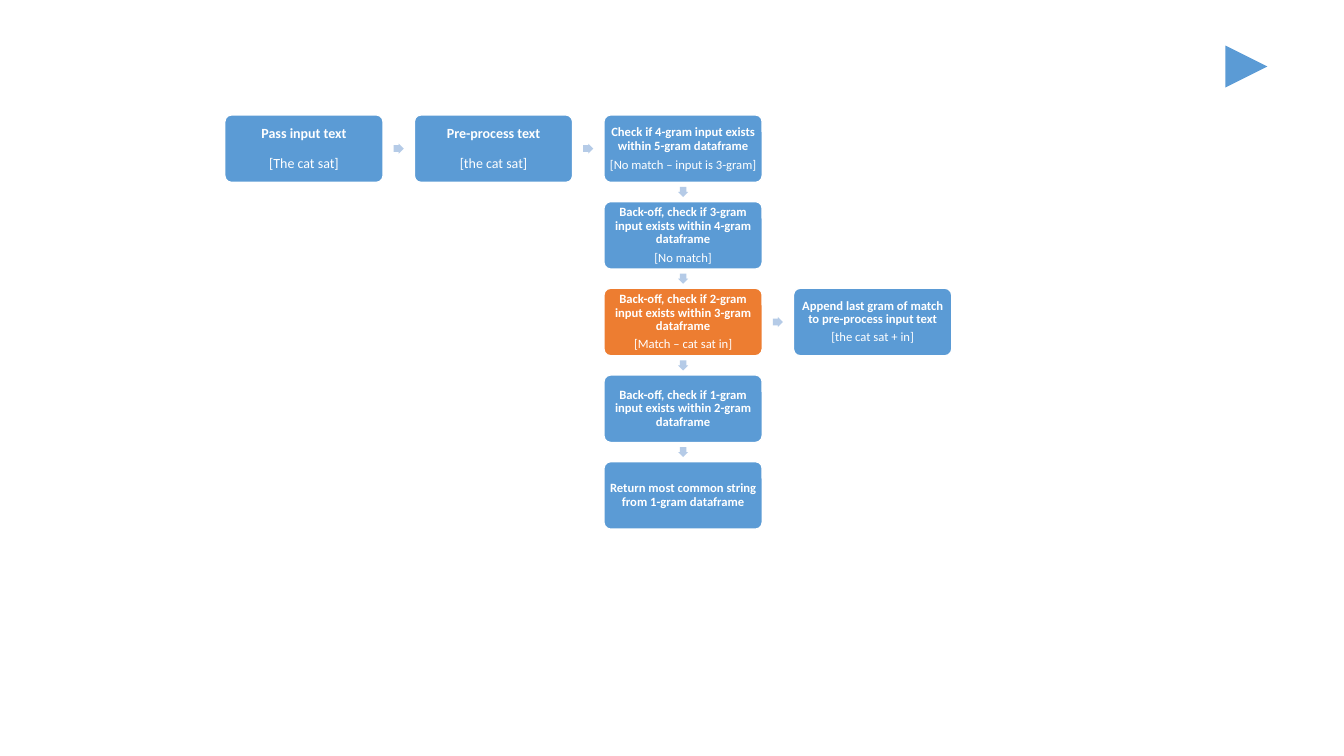
from lxml import etree
from pptx import Presentation
from pptx import util as u
from pptx.dml.color import RGBColor
from pptx.enum import shapes, text
from pptx.oxml import ns

COLORS = {"step": "5B9BD5", "match": "ED7D31", "arrow": "B5CBE7", "white": "FFFFFF"}
STEP_WIDTH, STEP_HEIGHT = 1.57, 0.67
COLUMN_PITCH, ROW_PITCH = 1.88, 0.86
ARROW_SIZE = 0.1

FRAME_FORMAT = {
    "word_wrap": True,
    "auto_size": text.MSO_AUTO_SIZE.NONE,
    "vertical_anchor": text.MSO_ANCHOR.MIDDLE,
    "margin_left": u.Inches(0.03),
    "margin_right": u.Inches(0.03),
    "margin_top": u.Inches(0.03),
    "margin_bottom": u.Inches(0.03),
}
PARAGRAPH_FORMAT = {"alignment": text.PP_ALIGN.CENTER, "line_spacing": 0.9}

STEPS = [
    (0, 0, "step", 10, 10.5, ["Pass input text", "[The cat sat]"]),
    (1, 0, "step", 10, 10.5, ["Pre-process text", "[the cat sat]"]),
    (2, 0, "step", 9, 3.8, ["Check if 4-gram input exists within 5-gram dataframe",
                            "[No match – input is 3-gram]"]),
    (2, 1, "step", 9, 3.2, ["Back-off, check if 3-gram input exists within 4-gram dataframe",
                            "[No match]"]),
    (2, 2, "match", 9, 3.2, ["Back-off, check if 2-gram input exists within 3-gram dataframe",
                             "[Match – cat sat in]"]),
    (2, 3, "step", 9, 3.2, ["Back-off, check if 1-gram input exists within 2-gram dataframe"]),
    (2, 4, "step", 9, 3.2, ["Return most common string from 1-gram dataframe"]),
    (3, 2, "step", 9, 3.2, ["Append last gram of match to pre-process input text",
                            "[the cat sat + in]"]),
]
FLOWS = [
    ((0, 0), (1, 0)), ((1, 0), (2, 0)), ((2, 2), (3, 2)),
    *(((2, row), (2, row + 1)) for row in range(4)),
]


def set_values(target, values):
    for name, value in values.items():
        setattr(target, name, value)


def rgb(name):
    return RGBColor.from_string(COLORS[name])


def add_filled_shape(slide, kind, box, color):
    shape = slide.shapes.add_shape(kind, *(u.Inches(length) for length in box))
    shape.shadow.inherit = False
    shape.fill.solid()
    shape.fill.fore_color.rgb = rgb(color)
    return shape


def add_step(slide, box, color, size, gap, lines):
    shape = add_filled_shape(slide, shapes.MSO_SHAPE.ROUNDED_RECTANGLE, box, color)
    shape.adjustments[0] = 0.1
    shape.line.color.rgb = rgb("white")
    shape.line.width = u.Pt(1)
    frame = shape.text_frame
    set_values(frame, FRAME_FORMAT)
    for index, line in enumerate(lines):
        paragraph = frame.add_paragraph() if index else frame.paragraphs[0]
        set_values(paragraph, {**PARAGRAPH_FORMAT, "space_after": u.Pt(gap)})
        run = paragraph.add_run()
        run.text = line
        set_values(run.font, {"name": "Calibri", "size": u.Pt(size), "bold": index == 0})
        run.font.color.rgb = rgb("white")


def add_flow_arrow(slide, center, rotation):
    box = [middle - ARROW_SIZE / 2 for middle in center] + [ARROW_SIZE] * 2
    arrow = add_filled_shape(slide, shapes.MSO_SHAPE.RIGHT_ARROW, box, "arrow")
    arrow.adjustments[0] = 0.667
    arrow.adjustments[1] = 0.5
    arrow.rotation = rotation
    arrow.line.fill.background()


def add_backoff_flow(slide, left, top):
    def corner(column, row):
        return left + column * COLUMN_PITCH, top + row * ROW_PITCH

    for column, row, *style in STEPS:
        add_step(slide, (*corner(column, row), STEP_WIDTH, STEP_HEIGHT), *style)
    for start, end in FLOWS:
        (start_x, start_y), (end_x, end_y) = corner(*start), corner(*end)
        center = (start_x + end_x + STEP_WIDTH) / 2, (start_y + end_y + STEP_HEIGHT) / 2
        add_flow_arrow(slide, center, 90 if start[0] == end[0] else 0)


def add_next_arrow(slide, left, middle, width):
    connector = slide.shapes.add_connector(
        shapes.MSO_CONNECTOR.STRAIGHT,
        *(u.Inches(length) for length in (left, middle, left + width, middle)))
    connector.line.color.rgb = rgb("step")
    connector.line.width = u.Pt(10)
    properties = connector.line._get_or_add_ln()
    etree.SubElement(properties, ns.qn("a:tailEnd"), type="triangle")
    etree.SubElement(connector._element.spPr, ns.qn("a:effectLst"))


presentation = Presentation()
presentation.slide_width = u.Inches(13.33)
presentation.slide_height = u.Inches(7.5)
slide = presentation.slides.add_slide(presentation.slide_layouts[6])
add_backoff_flow(slide, 2.23, 1.14)
add_next_arrow(slide, 12.18, 0.66, 0.39)
presentation.save("out.pptx")
